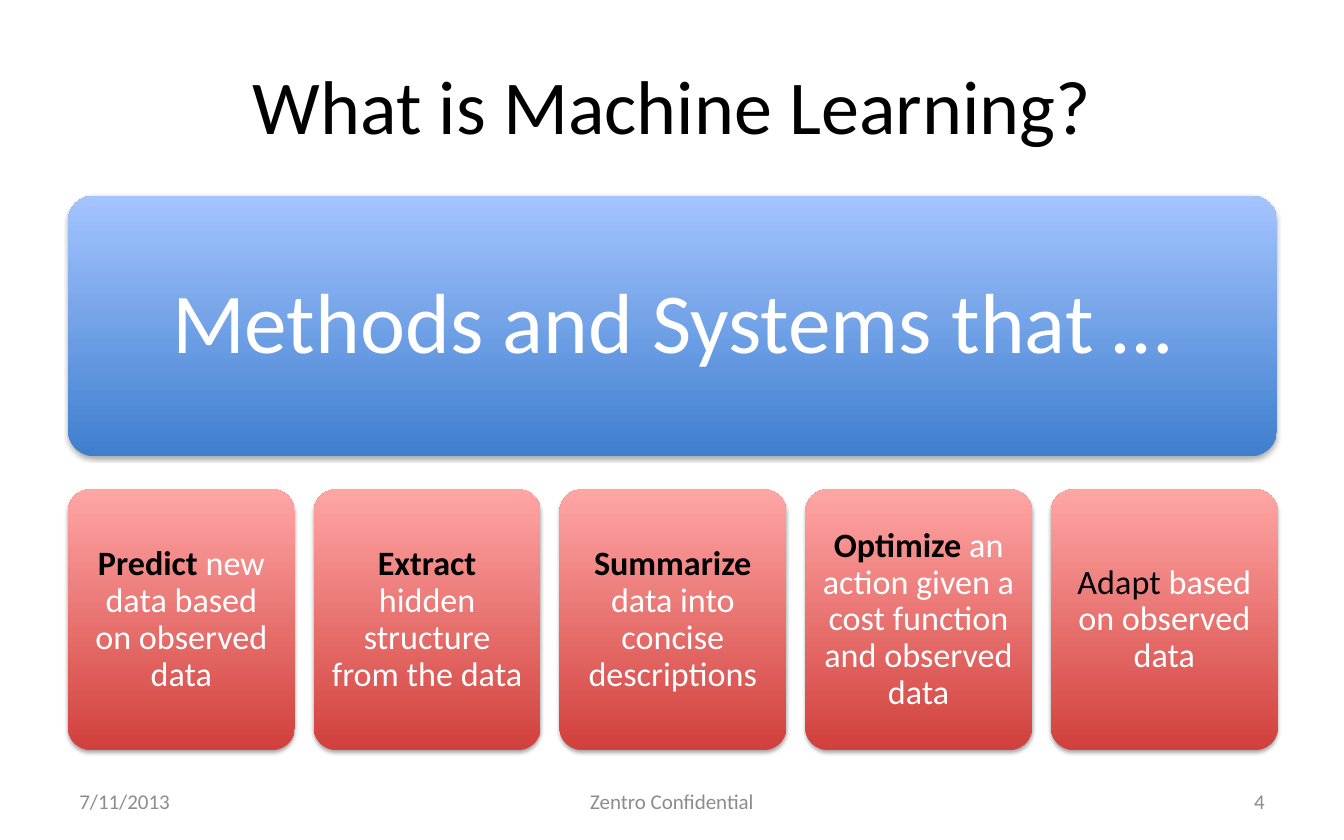
import pptx
import pptx.util
import pptx.dml.color
import pptx.enum.shapes
import pptx.enum.text
from lxml import etree
from pptx.util import Inches, Pt

PP_ALIGN = pptx.enum.text.PP_ALIGN
COLORS = {
    "black": "000000", "white": "FFFFFF", "grey": "8C8C8C",
    "blue_dark": "3F7FCE", "blue_light": "A4C4FF",
    "red_dark": "D1403C", "red_light": "FFA6A5",
}
SHADOW = (
    '<a:effectLst xmlns:a="http://schemas.openxmlformats.org/drawingml/2006/main">'
    '<a:outerShdw blurRad="39370" dist="22860" dir="5400000" rotWithShape="0">'
    '<a:srgbClr val="000000"><a:alpha val="35000"/></a:srgbClr>'
    '</a:outerShdw></a:effectLst>'
)


def write(sp, runs, size, align, inset_x, inset_y):
    tf = sp.text_frame
    tf.word_wrap = True
    tf.auto_size = pptx.enum.text.MSO_AUTO_SIZE.NONE
    tf.vertical_anchor = pptx.enum.text.MSO_ANCHOR.MIDDLE
    tf.margin_left = tf.margin_right = Inches(inset_x)
    tf.margin_top = tf.margin_bottom = Inches(inset_y)
    p = tf.paragraphs[0]
    p.alignment = align
    for text, color, bold in runs:
        r = p.add_run()
        r.text = text
        r.font.name = "Calibri"
        r.font.size = Pt(size)
        r.font.bold = bold
        r.font.color.rgb = pptx.dml.color.RGBColor.from_string(COLORS[color])
    return p


def add_card(left, top, width, hue, runs, size, inset):
    sp = s.shapes.add_shape(
        pptx.enum.shapes.MSO_SHAPE.ROUNDED_RECTANGLE,
        Inches(left), Inches(top), Inches(width), Inches(2.76))
    sp.adjustments[0] = 0.1
    sp.fill.gradient()
    sp.fill.gradient_angle = 90
    for stop, shade in zip(sp.fill.gradient_stops, ("dark", "light")):
        stop.color.rgb = pptx.dml.color.RGBColor.from_string(COLORS[f"{hue}_{shade}"])
    sp.line.fill.background()
    sp._element.spPr.append(etree.fromstring(SHADOW))
    p = write(sp, runs, size, PP_ALIGN.CENTER, inset, inset)
    p.line_spacing = 0.9


prs = pptx.Presentation()
prs.slide_width = Inches(14.22)
prs.slide_height = Inches(8.89)
s = prs.slides.add_slide(prs.slide_layouts[5])

title = s.shapes.title
title.left, title.top = Inches(0.71), Inches(0.36)
title.width, title.height = Inches(12.8), Inches(1.48)
write(title, [("What is Machine Learning?", "black", False)], 58, PP_ALIGN.CENTER, 0.13, 0.07)

add_card(0.72, 2.07, 12.79, "blue",
         [("Methods and Systems that …", "white", False)], 65, 0.27)

tasks = [
    ("Predict", " new data based on observed data", True),
    ("Extract", " hidden structure from the data", True),
    ("Summarize", " data into concise descriptions", True),
    ("Optimize", " an action given a cost function and observed data", True),
    ("Adapt", " based on observed data", False),
]
for i, (verb, rest, bold) in enumerate(tasks):
    add_card(0.72 + i * 2.6, 5.18, 2.4, "red",
             [(verb, "black", bold), (rest, "white", False)], 26, 0.11)

footers = [
    ("7/11/2013", 0.71, 3.32, PP_ALIGN.LEFT),
    ("Zentro Confidential", 4.86, 4.5, PP_ALIGN.CENTER),
    ("4", 10.19, 3.32, PP_ALIGN.RIGHT),
]
for text, left, width, align in footers:
    tb = s.shapes.add_textbox(Inches(left), Inches(8.24), Inches(width), Inches(0.47))
    write(tb, [(text, "grey", False)], 16, align, 0.13, 0.07)

prs.save("out.pptx")
